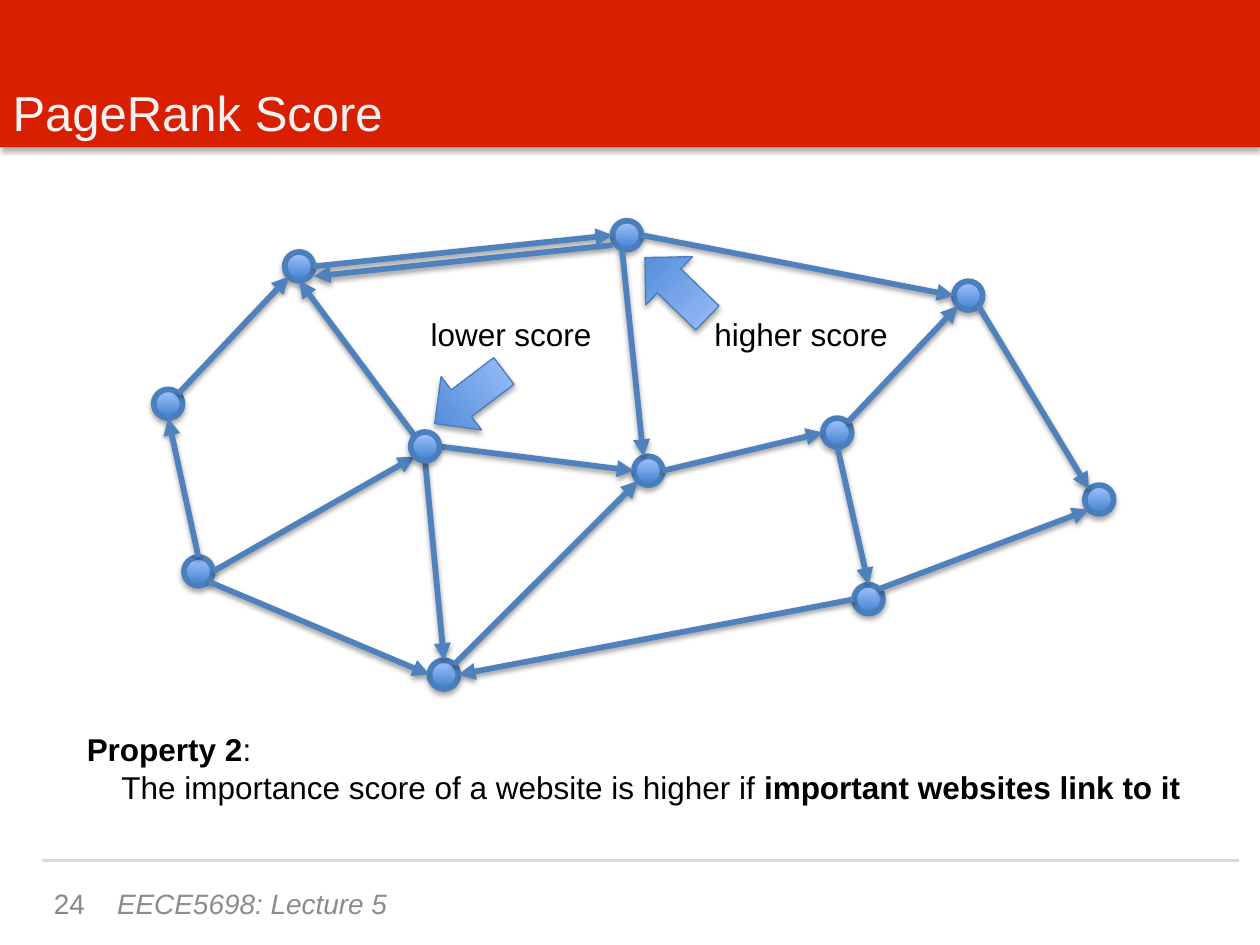
from math import cos, pi, sin

from lxml.etree import SubElement
from pptx import Presentation
from pptx.dml.color import RGBColor
from pptx.enum.shapes import MSO_CONNECTOR, MSO_SHAPE
from pptx.enum.text import MSO_ANCHOR, PP_ALIGN
from pptx.oxml.ns import qn
from pptx.util import Cm, Pt

FONT = "Arial"
DIAMETER = 0.58
SITES = ["E", "NE", "N", "NW", "W", "SW", "S", "SE"]
NODES = {
    "west": (3.39, 8.14), "southwest": (4, 11.52), "northwest": (6.03, 5.37),
    "top": (12.64, 4.74), "bottom": (8.95, 13.6), "centre": (13.07, 9.49),
    "right": (16.88, 8.72), "lower right": (17.51, 12.08),
    "northeast": (19.52, 5.96), "east": (22.16, 10.07), "hub": (8.57, 9),
}
LINKS = [
    ("west", "NE", "northwest", "SW"),
    ("hub", "NW", "northwest", "S"),
    ("northwest", "E", "top", "W"),
    ("hub", "E", "centre", "W"),
    ("southwest", "E", "hub", "SW"),
    ("southwest", "N", "west", "S"),
    ("southwest", "SE", "bottom", "W"),
    ("lower right", "W", "bottom", "E"),
    ("centre", "E", "right", "W"),
    ("hub", "S", "bottom", "N"),
    ("top", "S", "centre", "N", -0.1, 0),
    ("northeast", "SE", "east", "NW"),
    ("right", "NE", "northeast", "SW"),
    ("lower right", "NE", "east", "SW"),
    ("right", "S", "lower right", "N"),
    ("top", "E", "northeast", "W"),
    ("bottom", "NE", "centre", "SW"),
    ("top", "W", "northwest", "E", 0, 0.2),
]


def rgb(color):
    """Turn a hex string into a colour."""
    return RGBColor.from_string(color)


def add_shadow(sp, alpha=35, dist=1.8):
    """Give a shape or connector a soft black shadow below it."""
    effects = SubElement(sp._element.spPr, qn("a:effectLst"))
    outer = SubElement(effects, qn("a:outerShdw"), blurRad=str(Pt(3.1)),
                       dist=str(Pt(dist)), dir="5400000", rotWithShape="0")
    color = SubElement(outer, qn("a:srgbClr"), val="000000")
    SubElement(color, qn("a:alpha"), val=str(alpha * 1000))


def add_banner(s):
    """Add the red band behind the title."""
    sp = s.shapes.add_shape(MSO_SHAPE.RECTANGLE, 0, 0, Cm(25.4), Cm(2.97))
    sp.fill.solid()
    sp.fill.fore_color.rgb = rgb("D81F00")
    sp.line.fill.background()
    add_shadow(sp)


def add_line(s, start, end, color, width):
    """Add a straight line between two points."""
    cx = s.shapes.add_connector(MSO_CONNECTOR.STRAIGHT, *map(Cm, start + end))
    cx.line.color.rgb = rgb(color)
    cx.line.width = Pt(width)
    return cx


def add_glossy(s, kind, x, y, w, h, line_width, rotation=0):
    """Add a blue gradient shape centred on a point."""
    sp = s.shapes.add_shape(kind, Cm(x - w / 2), Cm(y - h / 2), Cm(w), Cm(h))
    sp.rotation = rotation
    sp.fill.gradient()
    sp.fill.gradient_angle = 90
    for stop, position, color in zip(sp.fill.gradient_stops, (0, 1), ("3F80CE", "A4C4FF")):
        stop.position = position
        stop.color.rgb = rgb(color)
    sp.line.color.rgb = rgb("4B7EBC")
    sp.line.width = Pt(line_width)
    add_shadow(sp)


def add_node(s, name):
    """Add one website node."""
    add_glossy(s, MSO_SHAPE.OVAL, *NODES[name], DIAMETER, DIAMETER, 3.25)


def site_point(name, site, dx, dy):
    """Find a compass point on the rim of a node."""
    x, y = NODES[name]
    angle = SITES.index(site) * pi / 4
    return (x + DIAMETER / 2 * cos(angle) + dx, y - DIAMETER / 2 * sin(angle) + dy)


def add_link(s, source, source_site, target, target_site, dx=0, dy=0):
    """Add an arrow from one node to another."""
    cx = add_line(s, site_point(source, source_site, dx, dy),
                  site_point(target, target_site, dx, dy), "4F81BD", 3.25)
    SubElement(cx.line._get_or_add_ln(), qn("a:tailEnd"), type="triangle")
    add_shadow(cx, 38, 1.6)


def add_run(p, text, size, color="000000", bold=False, italic=False):
    """Add one formatted run."""
    r = p.add_run()
    r.text = text
    r.font.name = FONT
    r.font.size = Pt(size)
    r.font.color.rgb = rgb(color)
    r.font.bold = bold
    r.font.italic = italic


def add_box(s, x, y, w, h, anchor=MSO_ANCHOR.TOP, wrap=True):
    """Add an empty text box and return its text frame."""
    tf = s.shapes.add_textbox(Cm(x), Cm(y), Cm(w), Cm(h)).text_frame
    tf.word_wrap = wrap
    tf.vertical_anchor = anchor
    return tf


def add_title(s, text):
    """Place the title over the banner."""
    title = s.shapes.title
    s.shapes._spTree.append(title._element)
    title.left, title.top, title.width, title.height = 0, 0, Cm(25.4), Cm(2.97)
    tf = title.text_frame
    tf.vertical_anchor = MSO_ANCHOR.BOTTOM
    p = tf.paragraphs[0]
    p.alignment = PP_ALIGN.LEFT
    add_run(p, text, 28, "F2F2F2")


def add_footer(s, number, text):
    """Add the slide number and the lecture name."""
    p = add_box(s, 0.69, 17.7, 1.27, 1.02, MSO_ANCHOR.MIDDLE).paragraphs[0]
    p.alignment = PP_ALIGN.RIGHT
    add_run(p, number, 16, "898989")
    p = add_box(s, 2.11, 17.7, 15.29, 1.02, MSO_ANCHOR.MIDDLE).paragraphs[0]
    add_run(p, text, 16, "8C8C8C", italic=True)


def add_property(s):
    """Add the statement below the graph."""
    tf = add_box(s, 1.5, 14.6, 23.04, 1.8)
    p = tf.paragraphs[0]
    add_run(p, "Property 2", 18, bold=True)
    add_run(p, ":", 18)
    p = tf.add_paragraph()
    p._p.get_or_add_pPr().set("marL", str(Cm(0.7)))
    add_run(p, "The importance score of a website is higher if ", 18)
    add_run(p, "important websites link to it", 18, bold=True)


def add_callout(s, text, x, w, arrow_x, arrow_y, rotation):
    """Add a block arrow and its label."""
    add_glossy(s, MSO_SHAPE.DOWN_ARROW, arrow_x, arrow_y, 1.35, 1.75, 0.75, rotation)
    tf = add_box(s, x, 6.22, w, 1.02, wrap=False)
    add_run(tf.paragraphs[0], text, 18)


def main():
    """Build the slide."""
    prs = Presentation()
    prs.slide_width, prs.slide_height = Cm(25.4), Cm(19.05)
    s = prs.slides.add_slide(prs.slide_layouts[5])
    add_banner(s)
    rule = add_line(s, (0.84, 17.35), (24.97, 17.35), "D9D9D9", 2)
    SubElement(rule._element.spPr, qn("a:effectLst"))
    add_title(s, "PageRank Score")
    add_footer(s, "24", "EECE5698: Lecture 5")
    for name in NODES:
        if name != "hub":
            add_node(s, name)
    for link in LINKS:
        add_link(s, *link)
    add_node(s, "hub")
    add_property(s)
    add_callout(s, "higher score", 14.15, 4.04, 13.63, 5.8, 134.1)
    add_callout(s, "lower score", 8.43, 3.78, 9.46, 8.01, 52.8)
    prs.save("out.pptx")


if __name__ == "__main__":
    main()
